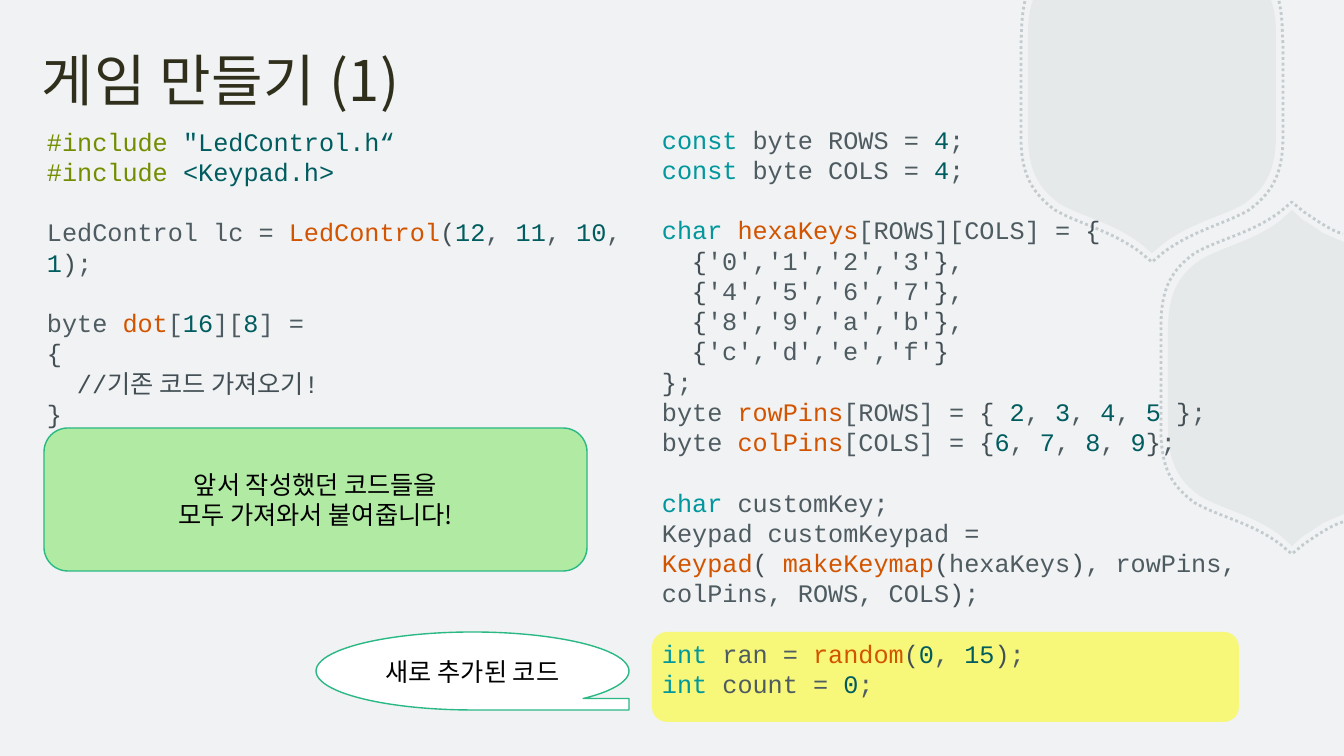
from lxml.etree import SubElement
from pptx import Presentation
from pptx.dml.color import RGBColor
from pptx.enum.dml import MSO_LINE
from pptx.enum.shapes import MSO_SHAPE
from pptx.enum.text import MSO_ANCHOR, PP_ALIGN
from pptx.oxml.ns import qn
from pptx.util import Emu, Pt

SCALE = 914400 / 100.8
WIDTH, HEIGHT = 1344, 756
KOREAN, CODE = "Noto Sans CJK KR", "Courier New"
GREY, TEAL = "ADB8BD", "2AB884"
LINE_PITCH = Pt(21.6)
SYNTAX = {
    "p": "4E5B61",
    "b": "434F54",
    "n": "005C5F",
    "f": "D35400",
    "k": "00979D",
    "i": "728E00",
}

TOP_CENTER, SIDE_CENTER = (1152, 0), (1292, 378)
TOP_STEPS, SIDE_STEPS = "LCLCCL", "LCLLCCL"
TOP_FILL = [(119, 0), (120, 3), (123, 12), (124, 23), (124, 36), (124, 134),
            (124, 170), (114, 188), (92, 204), (69, 217), (38, 223), (11, 244), (0, 253)]
SIDE_FILL = [(52, 136), (31, 145), (25, 149), (18, 154), (11, 158), (0, 168), (-11, 158),
             (-38, 137), (-68, 132), (-92, 118), (-113, 103), (-124, 85), (-124, 49), (-124, 0)]
TOP_DOTS = [(127, 1), (131, 19), (130, 30), (131, 44), (131, 137),
            (131, 174), (120, 193), (97, 210), (73, 224), (42, 230), (12, 252), (0, 262)]
SIDE_DOTS = [(51, 144), (37, 148), (20, 161), (12, 166), (0, 176), (-12, 166),
             (-40, 145), (-72, 139), (-97, 125), (-120, 108), (-131, 91), (-131, 51), (-131, 0)]

LEFT_CODE = [
    '@i#include @n"LedControl.h“',
    "@i#include @n<Keypad.h>",
    "^@pLedControl lc = @fLedControl@b(@n12@p, @n11@p, @n10@p, @n1@b)@p;",
    "^@pbyte @fdot@p[@n16@p][@n8@p] =",
    "@b{",
    ">@b//기존 코드 가져오기!",
    "@b}",
]
HEX_ROWS = ["'0','1','2','3'", "'4','5','6','7'", "'8','9','a','b'", "'c','d','e','f'"]
RIGHT_CODE = [
    "@kconst@p byte ROWS = @n4@p;",
    "@kconst@p byte COLS = @n4@p;",
    "^@kchar @fhexaKeys@p[ROWS][COLS] = @b{",
    *[f">@b{{@p{row}@b}}@p," for row in HEX_ROWS[:-1]],
    f">@b{{@p{HEX_ROWS[-1]}@b}}",
    "@b}@p;",
    "@pbyte @frowPins@p[ROWS] = @b{ @n2@p, @n3@p, @n4@p, @n5 @b}@p;",
    "@pbyte @fcolPins@p[COLS] = @b{@n6@p, @n7@p, @n8@p, @n9@b}@p;",
    "^@kchar @pcustomKey;",
    "@pKeypad customKeypad = @fKeypad@b( @fmakeKeymap@b(@phexaKeys@b)"
    "@p, rowPins, colPins, ROWS, COLS@b)@p;",
    "^@kint@p ran = @frandom@b(@n0@p, @n15@b)@p;",
    "@kint@p count = @n0@p;",
]


def px(value):
    return Emu(round(value * SCALE))


def color(value):
    return RGBColor.from_string(value)


class SlideBuilder:
    def __init__(self, prs):
        self.s = prs.slides.add_slide(prs.slide_layouts[6])
        fill = self.s.background.fill
        fill.solid()
        fill.fore_color.rgb = color("F0F2F3")

    def paint(self, sp, fill=None, line=None, weight=1, opacity=None):
        sp.shadow.inherit = False
        for value, target in ((fill, sp.fill), (line, sp.line.fill)):
            if value:
                target.solid()
                target.fore_color.rgb = color(value)
            else:
                target.background()
        if line:
            sp.line.width = Pt(weight)
        if opacity:
            for clr in sp.element.xpath("./p:spPr//a:srgbClr"):
                SubElement(clr, qn("a:alpha"), val=str(opacity * 1000))

    def font(self, r, name, size, ink):
        r.font.name = name
        r.font.size = Pt(size)
        r.font.color.rgb = color(ink)
        r.font._element.set("kern", "0")
        SubElement(r.font._element, qn("a:ea"), typeface=KOREAN)

    def hexagon(self, center, half, steps, mirror, dotted=False):
        cx, cy = center
        mx, my = mirror
        outline = half + [(mx * x, my * y) for x, y in reversed(half[:-1])]
        pts = [(px(cx + x), px(cy + y)) for x, y in outline]
        builder = self.s.shapes.build_freeform(*pts[0])
        builder.add_line_segments(pts[1:], close=not dotted)
        sp = builder.convert_to_shape()
        segments = iter(sp.element.xpath(".//a:lnTo"))
        for step in steps + steps[::-1]:
            segment = next(segments)
            if step == "C":
                segment.tag = qn("a:cubicBezTo")
                for _ in range(2):
                    control = next(segments)
                    segment.append(control[0])
                    control.getparent().remove(control)
        if dotted:
            self.paint(sp, line=GREY, weight=2, opacity=65)
            sp.line.dash_style = MSO_LINE.ROUND_DOT
        else:
            self.paint(sp, fill=GREY, opacity=15)

    def shape(self, kind, box, text="", **paint):
        sp = self.s.shapes.add_shape(kind, *map(px, box))
        self.paint(sp, **paint)
        if text:
            tf = sp.text_frame
            tf.text = text
            tf.word_wrap = True
            tf.vertical_anchor = MSO_ANCHOR.MIDDLE
            for p in tf.paragraphs:
                p.alignment = PP_ALIGN.CENTER
                self.font(p.runs[0], KOREAN, 18, "000000")

    def textbox(self, box):
        tf = self.s.shapes.add_textbox(*map(px, box)).text_frame
        tf.word_wrap = True
        return tf

    def title(self, text, box):
        tf = self.textbox(box)
        tf.vertical_anchor = MSO_ANCHOR.MIDDLE
        tf.margin_left = tf.margin_right = px(12)
        tf.margin_top = tf.margin_bottom = px(10)
        tf.text = text
        p = tf.paragraphs[0]
        p.line_spacing = 1.1
        r = p.runs[0]
        self.font(r, KOREAN, 40, "2F2F1B")
        r.font._element.set("spc", "50")

    def code(self, lines, box):
        tf = self.textbox(box)
        for i, line in enumerate(lines):
            p = tf.add_paragraph() if i else tf.paragraphs[0]
            p.line_spacing = LINE_PITCH
            mark, *pieces = line.split("@")
            if mark == "^":
                p.space_before = LINE_PITCH
            elif mark == ">":
                p._p.get_or_add_pPr().set("marL", str(px(30)))
            for piece in pieces:
                r = p.add_run()
                r.text = piece[1:]
                self.font(r, CODE, 18, SYNTAX[piece[0]])


def main():
    prs = Presentation()
    prs.slide_width, prs.slide_height = px(WIDTH), px(HEIGHT)
    slide = SlideBuilder(prs)
    slide.hexagon(TOP_CENTER, TOP_FILL, TOP_STEPS, (-1, 1))
    slide.hexagon(SIDE_CENTER, SIDE_FILL, SIDE_STEPS, (1, -1))
    slide.hexagon(TOP_CENTER, TOP_DOTS, TOP_STEPS[1:], (-1, 1), dotted=True)
    slide.hexagon(SIDE_CENTER, SIDE_DOTS, SIDE_STEPS[1:], (1, -1), dotted=True)
    slide.shape(MSO_SHAPE.ROUNDED_RECTANGLE, (652, 632, 587, 90), fill="FFFF00", opacity=50)
    slide.title("게임 만들기 (1)", (30, 17, 1001, 117))
    slide.code(LEFT_CODE, (37, 121, 607, 346))
    slide.code(RIGHT_CODE, (652, 119, 673, 591))
    slide.shape(MSO_SHAPE.FLOWCHART_SEQUENTIAL_ACCESS_STORAGE, (316, 632, 313, 78),
                "새로 추가된 코드", fill="FFFFFF", line=TEAL)
    slide.shape(MSO_SHAPE.ROUNDED_RECTANGLE, (44, 428, 543, 143),
                "앞서 작성했던 코드들을\n모두 가져와서 붙여줍니다!", fill="B1EAA3", line=TEAL)
    prs.save("out.pptx")


if __name__ == "__main__":
    main()
